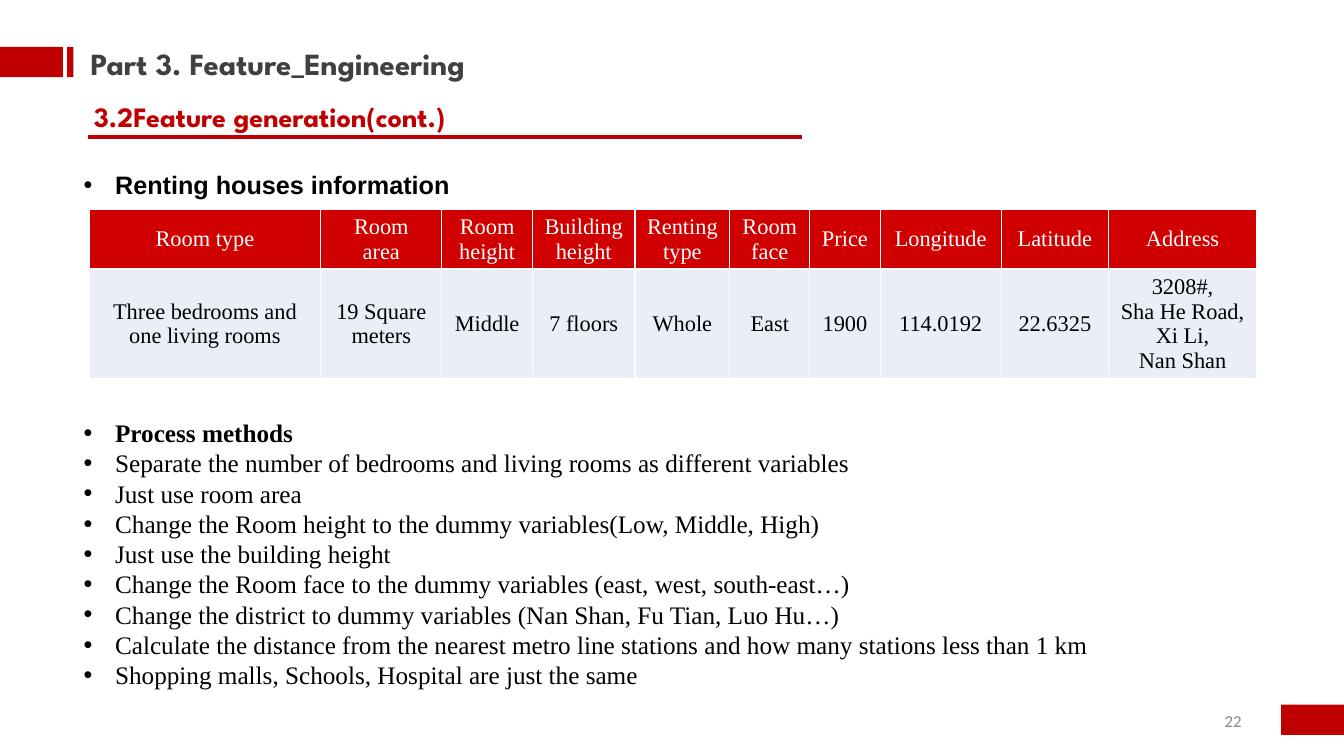
import lxml.etree
import pptx
import pptx.dml.color
import pptx.enum.shapes
import pptx.enum.text
import pptx.oxml.ns
import pptx.util

# The slide is a grid of 160 columns by 90 rows
SLIDE_WIDTH = pptx.util.Inches(13.33)
SLIDE_HEIGHT = pptx.util.Inches(7.5)
COLUMNS, ROWS = 160, 90

COLORS = {
    "red": "C00000",
    "header": "D00000",
    "row": "EAEFF7",
    "title": "404040",
    "number": "888888",
    "black": "000000",
    "white": "FFFFFF",
}
SERIF = "Times New Roman"
DISPLAY = "League Spartan"
ALIGN = pptx.enum.text.PP_ALIGN
ANCHOR = pptx.enum.text.MSO_ANCHOR

# Header, value and column width of each field
HOUSE_FIELDS = [
    ("Room type", "Three bedrooms and one living rooms", 27.6),
    ("Room\narea", "19 Square\nmeters", 14.4),
    ("Room\nheight", "Middle", 10.8),
    ("Building\nheight", "7 floors", 12.2),
    ("Renting\ntype", "Whole", 11.3),
    ("Room\nface", "East", 9.5),
    ("Price", "1900", 8.4),
    ("Longitude", "114.0192", 14.4),
    ("Latitude", "22.6325", 12.8),
    ("Address", "3208#,\nSha He Road,\nXi Li,\nNan Shan", 17.6),
]
PROCESS_METHODS = [
    "Process methods",
    "Separate the number of bedrooms and living rooms as different variables",
    "Just use room area",
    "Change the Room height to the dummy variables(Low, Middle, High)",
    "Just use the building height",
    "Change the Room face to the dummy variables (east, west, south-east…)",
    "Change the district to dummy variables (Nan Shan, Fu Tian, Luo Hu…)",
    "Calculate the distance from the nearest metro line stations"
    " and how many stations less than 1 km",
    "Shopping malls, Schools, Hospital are just the same",
]


def across(columns):
    return round(SLIDE_WIDTH * columns / COLUMNS)


def down(rows):
    return round(SLIDE_HEIGHT * rows / ROWS)


def area(left, top, width, height):
    return across(left), down(top), across(width), down(height)


def rgb(color):
    return pptx.dml.color.RGBColor.from_string(COLORS[color])


def add_child(parent, tag, **attributes):
    return lxml.etree.SubElement(parent, pptx.oxml.ns.qn(tag), attributes)


def style_text(frame, font, size, color, bold=False, align=ALIGN.LEFT):
    for paragraph in frame.paragraphs:
        paragraph.alignment = align
        for run in paragraph.runs:
            run.font.name = font
            run.font.size = pptx.util.Pt(size)
            run.font.bold = bold
            run.font.color.rgb = rgb(color)


def place(placeholder, box, anchor=ANCHOR.TOP):
    placeholder.left, placeholder.top, placeholder.width, placeholder.height = box
    frame = placeholder.text_frame
    frame.word_wrap = True
    frame.auto_size = pptx.enum.text.MSO_AUTO_SIZE.NONE
    frame.vertical_anchor = anchor
    return frame


def add_bar(slide, *box):
    bar = slide.shapes.add_shape(
        pptx.enum.shapes.MSO_SHAPE.RECTANGLE, *area(*box))
    bar.shadow.inherit = False
    bar.fill.solid()
    bar.fill.fore_color.rgb = rgb("red")
    bar.line.fill.background()


def add_label(slide, text, box, anchor=ANCHOR.TOP):
    label = slide.shapes.add_textbox(*area(*box))
    frame = place(label, area(*box), anchor)
    frame.text = text
    return frame


def add_rule(slide, left, right, top):
    rule = slide.shapes.add_connector(
        pptx.enum.shapes.MSO_CONNECTOR.STRAIGHT,
        across(left), down(top), across(right), down(top))
    rule.line.color.rgb = rgb("red")
    rule.line.width = pptx.util.Pt(3)
    add_child(rule._element.spPr, "a:effectLst")


def fill_list(placeholder, items, box, font):
    frame = place(placeholder, area(*box))
    frame.text = "\n".join(items)
    indent = across(3.75)
    for paragraph in frame.paragraphs:
        properties = paragraph._p.get_or_add_pPr()
        properties.set("marL", str(indent))
        properties.set("indent", str(-indent))
        bullet_color = add_child(properties, "a:buClr")
        add_child(bullet_color, "a:srgbClr", val=COLORS["black"])
        add_child(properties, "a:buFont", typeface="Arial")
        add_child(properties, "a:buChar", char="•")
        paragraph.space_before = pptx.util.Pt(0)
        paragraph.line_spacing = pptx.util.Pt(21.6)
    style_text(frame, font, 18, "black")
    frame.paragraphs[0].runs[0].font.bold = True


def style_cell(cell, text, fill, color):
    cell.text = text
    cell.vertical_anchor = ANCHOR.MIDDLE
    style_text(cell.text_frame, SERIF, 16, color, align=ALIGN.CENTER)
    properties = cell._tc.get_or_add_tcPr()
    for side in ("a:lnL", "a:lnR", "a:lnT", "a:lnB"):
        border = add_child(properties, side, w=str(pptx.util.Pt(1)))
        border_fill = add_child(border, "a:solidFill")
        add_child(border_fill, "a:srgbClr", val=COLORS["white"])
    cell.fill.solid()
    cell.fill.fore_color.rgb = rgb(fill)


def add_house_table(slide):
    width = sum(field[2] for field in HOUSE_FIELDS)
    houses = slide.shapes.add_table(
        2, len(HOUSE_FIELDS), *area(10.6, 24.9, width, 20.1)).table
    houses.first_row = True
    houses.horz_banding = False
    houses.rows[0].height = down(7.1)
    houses.rows[1].height = down(13)
    for index, (header, value, columns) in enumerate(HOUSE_FIELDS):
        houses.columns[index].width = across(columns)
        style_cell(houses.cell(0, index), header, "header", "white")
        style_cell(houses.cell(1, index), value, "row", "black")


def main():
    deck = pptx.Presentation()
    deck.slide_width, deck.slide_height = SLIDE_WIDTH, SLIDE_HEIGHT
    slide = deck.slides.add_slide(deck.slide_layouts.get_by_name("Two Content"))
    part_title, information, methods = slide.placeholders

    # Red marks beside the title and the page number
    add_bar(slide, 0, 5.6, 7.5, 3.6)
    add_bar(slide, 8, 5.6, 0.75, 3.6)
    add_bar(slide, 152.5, 83.9, 7.5, 3.6)
    page = add_label(slide, "22", (113, 83.4, 36, 4.8), ANCHOR.MIDDLE)
    style_text(page, "Calibri", 12, "number", align=ALIGN.RIGHT)

    # Title and underlined section heading
    title = place(part_title, area(9.6, 4.7, 109, 5.6))
    title.text = "Part 3. Feature_Engineering"
    style_text(title, DISPLAY, 22, "title", bold=True)
    section = add_label(
        slide, "3.2Feature generation(cont.)", (10, 11.3, 65.5, 5.3))
    style_text(section, DISPLAY, 20, "red", bold=True)
    add_rule(slide, 10.5, 95.5, 16.3)

    # House data and how each field is processed
    fill_list(information, ["Renting houses information"],
              (8.75, 19.6, 123, 5.9), "Arial")
    add_house_table(slide)
    fill_list(methods, PROCESS_METHODS, (8.75, 49.1, 139.4, 40.9), SERIF)

    deck.save("out.pptx")


if __name__ == "__main__":
    main()
